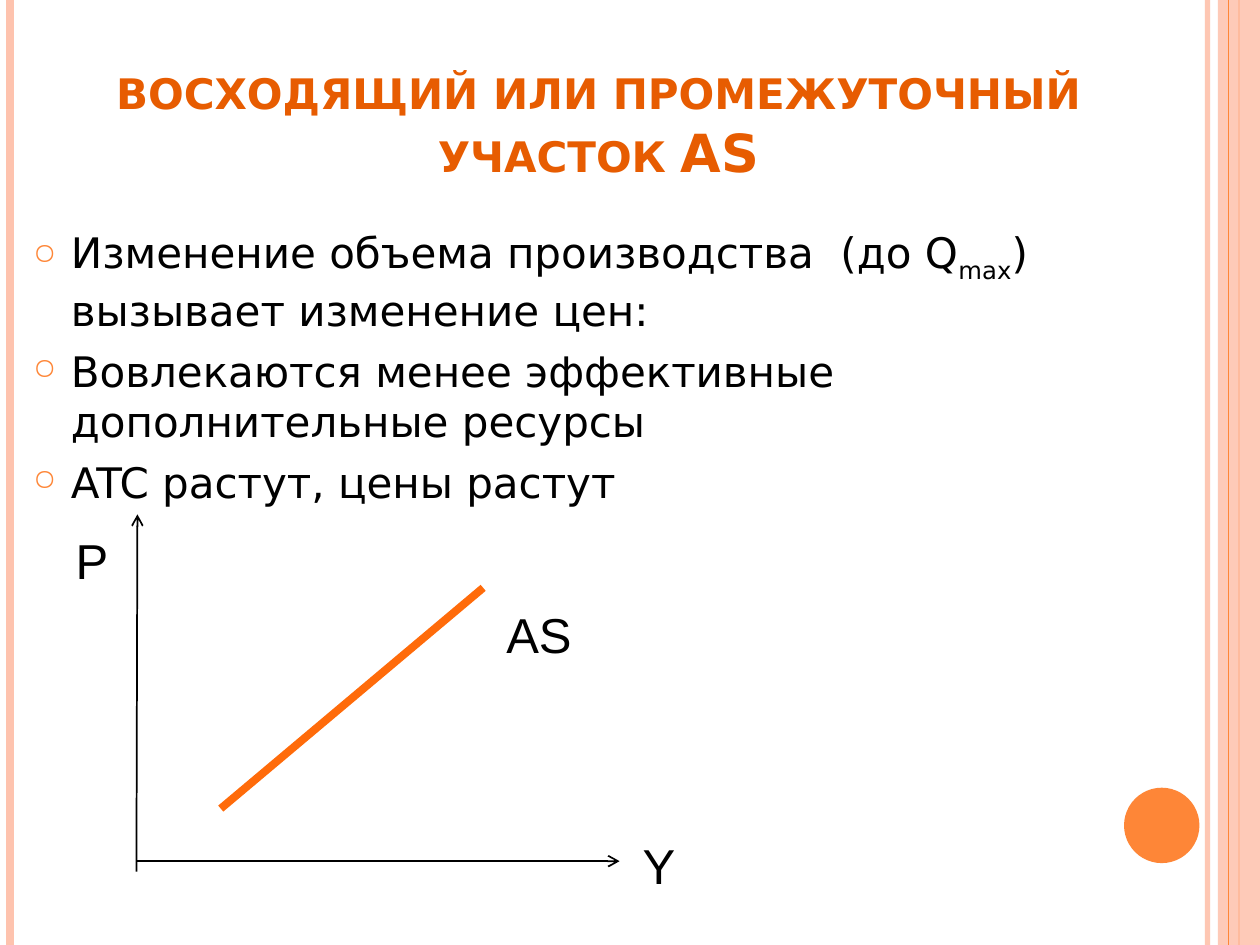
"""Build the slide on the intermediate section of the AS curve."""
from dataclasses import dataclass

from lxml.etree import SubElement
from pptx import Presentation
from pptx.dml.color import RGBColor
from pptx.enum.shapes import MSO_CONNECTOR, MSO_SHAPE
from pptx.enum.text import MSO_ANCHOR, MSO_AUTO_SIZE, PP_ALIGN
from pptx.oxml.ns import qn
from pptx.util import Cm, Pt


@dataclass(frozen=True)
class Theme:
    """Colours, fonts and type sizes of the slide."""
    text: str = "000000"
    title: str = "E75C01"
    accent: str = "FE8637"
    band: str = "FEC3AE"
    curve: str = "FF6B0A"
    text_font: str = "DejaVu Sans"
    label_font: str = "Arial"
    title_size: int = 30
    body_size: int = 24
    label_size: int = 28


THEME = Theme()
HEIGHT = 19.05
BULLETS = (
    (("Изменение объема производства  (до Q", False), ("max", True),
     (") вызывает изменение цен:", False)),
    (("Вовлекаются менее эффективные дополнительные ресурсы", False),),
    (("ATC растут, цены растут", False),),
)


def set_opacity(fill, percent):
    """Make a solid fill partly transparent."""
    color = fill._xPr.find(qn("a:solidFill"))[0]
    SubElement(color, qn("a:alpha"), val=str(percent * 1000))


def add_line(slide, start, end, color, width, arrow=False, opacity=100):
    """Draw a straight line, with an arrowhead at its end if wanted."""
    line = slide.shapes.add_connector(
        MSO_CONNECTOR.STRAIGHT, *(Cm(value) for value in (*start, *end)))
    line.line.color.rgb = RGBColor.from_string(color)
    line.line.width = Pt(width)
    if opacity < 100:
        set_opacity(line.line.fill, opacity)
    if arrow:
        SubElement(line.line._get_or_add_ln(), qn("a:tailEnd"), type="arrow")
    SubElement(line._element.spPr, qn("a:effectLst"))


def add_figure(slide, kind, box, color, opacity=100):
    """Draw a filled shape without an outline."""
    figure = slide.shapes.add_shape(kind, *(Cm(value) for value in box))
    figure.shadow.inherit = False
    figure.fill.solid()
    figure.fill.fore_color.rgb = RGBColor.from_string(color)
    figure.line.fill.background()
    if opacity < 100:
        set_opacity(figure.fill, opacity)


def add_frame(slide, box, wrap=True):
    """Add a text box and return its text frame."""
    frame = slide.shapes.add_textbox(*(Cm(value) for value in box)).text_frame
    frame.word_wrap = wrap
    return frame


def add_run(paragraph, text, font, size, color, bold=False):
    """Append a formatted run to a paragraph and return it."""
    run = paragraph.add_run()
    run.text = text
    run.font.name = font
    run.font.size = Pt(size)
    run.font.bold = bold
    run.font.color.rgb = RGBColor.from_string(color)
    return run


def add_title(slide):
    """Add the centred title in small capitals."""
    frame = add_frame(slide, (1.69, 0.64, 20.75, 3.18))
    frame.vertical_anchor = MSO_ANCHOR.BOTTOM
    paragraph = frame.paragraphs[0]
    paragraph.alignment = PP_ALIGN.CENTER
    run = add_run(paragraph, "восходящий или промежуточный участок AS",
                  THEME.text_font, THEME.title_size, THEME.title, bold=True)
    run.font._element.set("cap", "small")


def set_bullet(paragraph):
    """Give a paragraph a hanging indent and a round bullet."""
    properties = paragraph._p.get_or_add_pPr()
    properties.set("marL", str(Cm(0.76)))
    properties.set("indent", str(-Cm(0.76)))
    color = SubElement(properties, qn("a:buClr"))
    SubElement(color, qn("a:srgbClr"), val=THEME.accent)
    SubElement(properties, qn("a:buSzPct"), val="70000")
    SubElement(properties, qn("a:buChar"), char="○")


def add_bullets(slide):
    """Add the list of statements."""
    frame = add_frame(slide, (0.42, 4.45, 23.92, 14.39))
    for index, pieces in enumerate(BULLETS):
        paragraph = frame.add_paragraph() if index else frame.paragraphs[0]
        paragraph.space_before = Pt(6)
        set_bullet(paragraph)
        for text, subscript in pieces:
            run = add_run(paragraph, text, THEME.text_font,
                          THEME.body_size, THEME.text)
            if subscript:
                run.font._element.set("baseline", "-25000")


def add_label(slide, text, left, top, width):
    """Name an axis or the curve."""
    frame = add_frame(slide, (left, top, width, 1.45), wrap=False)
    frame.auto_size = MSO_AUTO_SIZE.SHAPE_TO_FIT_TEXT
    paragraph = frame.paragraphs[0]
    paragraph.alignment = PP_ALIGN.CENTER
    add_run(paragraph, text, THEME.label_font, THEME.label_size, THEME.text)


def add_decoration(slide):
    """Draw the side bands and the disc."""
    def add_stripe(x, color, width, opacity=100):
        """Draw a line over the full slide height."""
        add_line(slide, (x, 0), (x, HEIGHT), color, width, opacity=opacity)

    add_stripe(24.34, THEME.band, 3, opacity=93)
    add_stripe(0.21, THEME.band, 4.5)
    add_stripe(24.98, THEME.accent, 1.5)
    add_figure(slide, MSO_SHAPE.RECTANGLE, (24.55, 0, 0.85, HEIGHT),
               THEME.band, opacity=87)
    add_stripe(24.77, THEME.accent, 0.75)
    add_figure(slide, MSO_SHAPE.OVAL, (22.66, 15.88, 1.52, 1.52), THEME.accent)


def add_graph(slide):
    """Draw the axes, the AS curve and their labels."""
    add_line(slide, (2.75, 17.57), (2.77, 10.37), THEME.text, 1, arrow=True)
    add_line(slide, (2.75, 17.36), (12.49, 17.36), THEME.text, 1, arrow=True)
    add_line(slide, (4.45, 16.3), (9.74, 11.85), THEME.curve, 4.5)
    add_label(slide, "P", 1.27, 10.58, 1.17)
    add_label(slide, "Y", 12.7, 16.72, 1.17)
    add_label(slide, "AS", 9.95, 12.06, 1.83)


def main():
    """Build and save the presentation."""
    presentation = Presentation()
    presentation.slide_width = Cm(25.4)
    presentation.slide_height = Cm(HEIGHT)
    slide = presentation.slides.add_slide(presentation.slide_layouts[6])
    add_decoration(slide)
    add_bullets(slide)
    add_title(slide)
    add_graph(slide)
    presentation.save("out.pptx")


if __name__ == "__main__":
    main()
